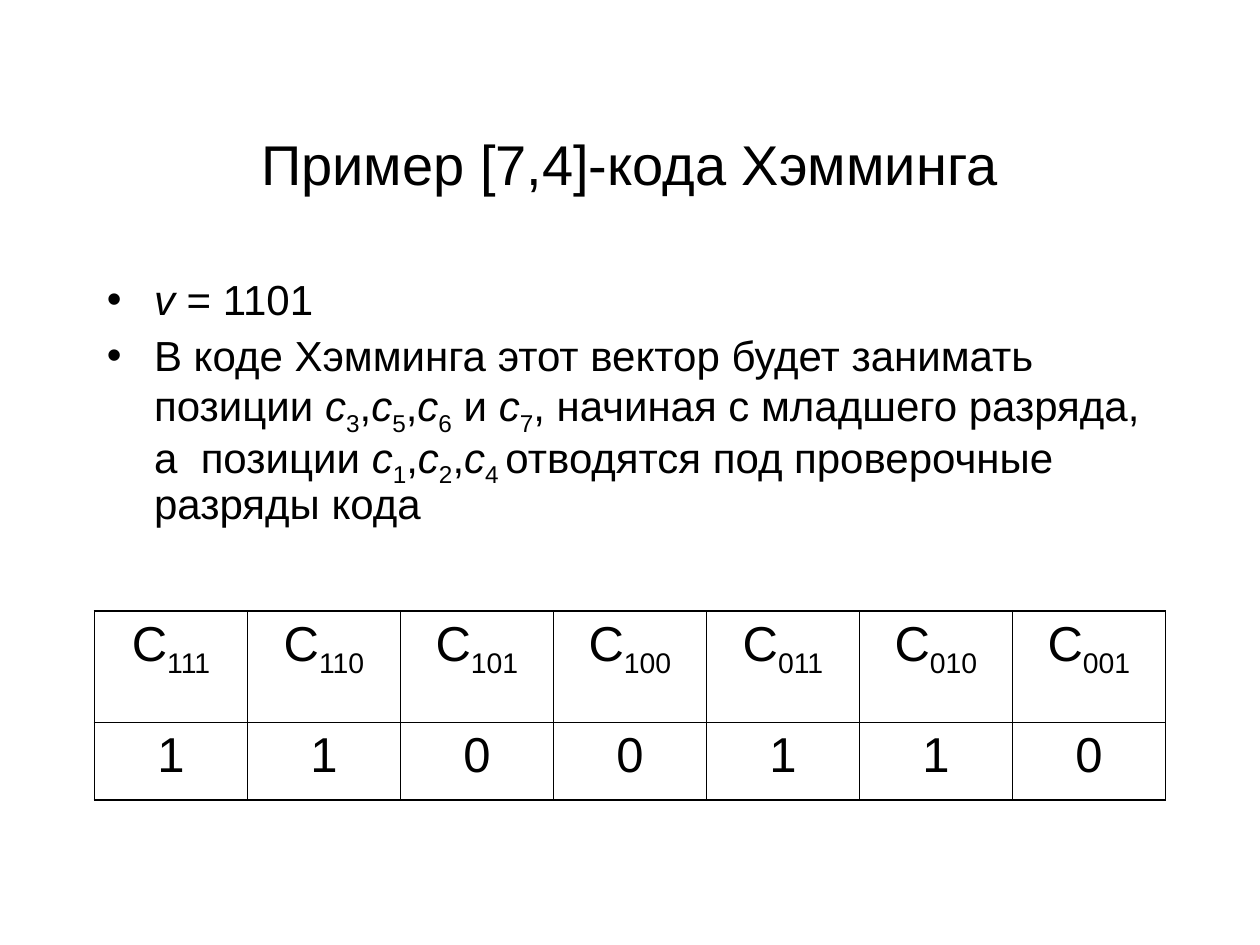
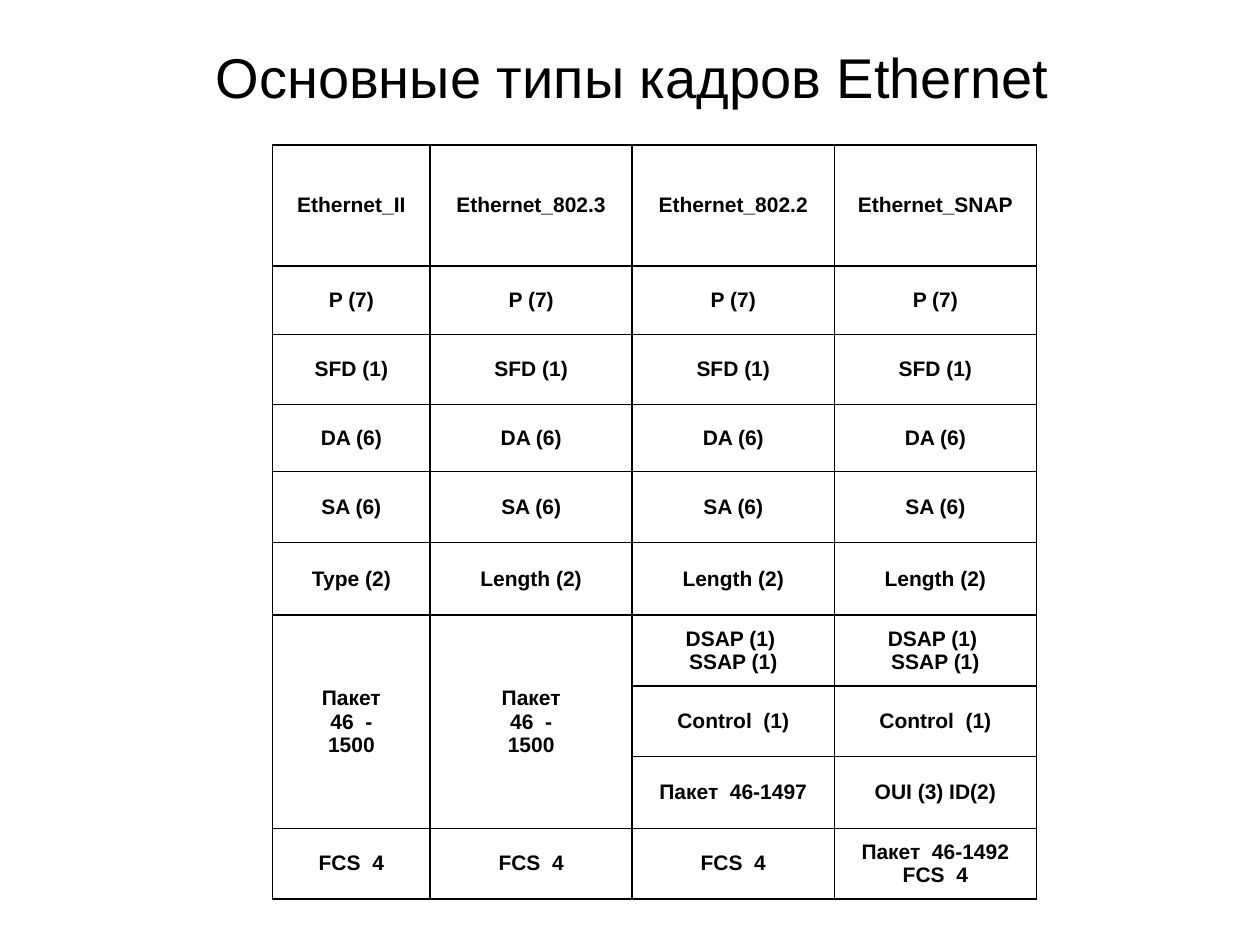
from lxml.etree import SubElement
from pptx import Presentation
from pptx.dml.color import RGBColor
from pptx.enum.text import MSO_ANCHOR, PP_ALIGN
from pptx.oxml.ns import qn
from pptx.util import Pt

FONT = "Arial"
BLACK = "000000"
TITLE_SIZE = 32
BODY_SIZE = 24
CODE_SIZE = 28
FRAME_SIZE = 12


def add_run(paragraph, text, size, bold=False, style=""):
    run = paragraph.add_run()
    run.text = text
    run.font.name = FONT
    run.font.size = Pt(size)
    run.font.bold = bold
    run.font.italic = style == "italic"
    run.font.color.rgb = RGBColor.from_string(BLACK)
    if style == "subscript":
        run.font._element.set("baseline", "-25000")


def add_grid(slide, left, top, widths, heights, outer, inner):
    table = slide.shapes.add_table(
        len(heights), len(widths), Pt(left), Pt(top), Pt(sum(widths)), Pt(sum(heights))
    ).table
    table.first_row = False
    table.horz_banding = False
    for column, width in zip(table.columns, widths):
        column.width = Pt(width)
    for row, height in zip(table.rows, heights):
        row.height = Pt(height)
    last_row, last_column = len(heights) - 1, len(widths) - 1
    for row_index in range(len(heights)):
        for column_index in range(len(widths)):
            cell = table.cell(row_index, column_index)
            properties = cell._tc.get_or_add_tcPr()
            sides = {
                "a:lnL": column_index == 0,
                "a:lnR": column_index == last_column,
                "a:lnT": row_index == 0,
                "a:lnB": row_index == last_row,
            }
            for side, is_edge in sides.items():
                line = SubElement(properties, qn(side), w=str(Pt(outer if is_edge else inner)))
                fill = SubElement(line, qn("a:solidFill"))
                SubElement(fill, qn("a:srgbClr"), val=BLACK)
            cell.fill.background()
    return table


presentation = Presentation()
presentation.slide_width = Pt(720)
presentation.slide_height = Pt(540)

titles = [
    ("Пример [7,4]-кода Хэмминга", 54, 48, 90),
    ("Основные типы кадров Ethernet ", 60, 15, 57),
]
slides = []
for title, left, top, height in titles:
    slide = presentation.slides.add_slide(presentation.slide_layouts[6])
    frame = slide.shapes.add_textbox(Pt(left), Pt(top), Pt(612), Pt(height)).text_frame
    frame.word_wrap = True
    frame.vertical_anchor = MSO_ANCHOR.MIDDLE
    frame.paragraphs[0].alignment = PP_ALIGN.CENTER
    add_run(frame.paragraphs[0], title, TITLE_SIZE)
    slides.append(slide)
hamming_slide, ethernet_slide = slides

bullets = [
    [("v", "italic"), (" = 1101", "")],
    [
        ("В коде Хэмминга этот вектор будет занимать позиции ", ""),
        ("c", "italic"), ("3", "subscript"), (",", ""),
        ("c", "italic"), ("5", "subscript"), (",", ""),
        ("c", "italic"), ("6", "subscript"), (" и ", ""),
        ("c", "italic"), ("7", "subscript"),
        (", начиная с младшего разряда, а  позиции ", ""),
        ("c", "italic"), ("1", "subscript"), (",", ""),
        ("c", "italic"), ("2", "subscript"), (",", ""),
        ("c", "italic"), ("4 ", "subscript"),
        ("отводятся под проверочные разряды кода", ""),
    ],
]
body = hamming_slide.shapes.add_textbox(Pt(54), Pt(156), Pt(612), Pt(156)).text_frame
body.word_wrap = True
for index, runs in enumerate(bullets):
    paragraph = body.add_paragraph() if index else body.paragraphs[0]
    paragraph.line_spacing = 0.9
    if index:
        paragraph.space_before = Pt(6)
    properties = paragraph._p.get_or_add_pPr()
    properties.set("marL", str(Pt(27)))
    properties.set("indent", str(Pt(-27)))
    SubElement(properties, qn("a:buFont"), typeface=FONT)
    SubElement(properties, qn("a:buChar"), char="•")
    for text, style in runs:
        add_run(paragraph, text, BODY_SIZE, style=style)

code_bits = "1100110"
code_table = add_grid(hamming_slide, 54, 349.2, [612 / 7] * 7, [63.5, 44.5], 1.08, 0.45)
for column_index, bit in enumerate(code_bits):
    position = format(len(code_bits) - column_index, "03b")
    column_runs = [[("C", ""), (position, "subscript")], [(bit, "")]]
    for row_index, runs in enumerate(column_runs):
        paragraph = code_table.cell(row_index, column_index).text_frame.paragraphs[0]
        paragraph.alignment = PP_ALIGN.CENTER
        for text, style in runs:
            add_run(paragraph, text, CODE_SIZE, style=style)

packet = "Пакет\n46  -\n1500"
service_points = "DSAP (1) \nSSAP (1)"
frame_rows = [
    ["Ethernet_II", "Ethernet_802.3", "Ethernet_802.2", "Ethernet_SNAP"],
    ["P (7)"] * 4,
    ["SFD (1)"] * 4,
    ["DA (6)"] * 4,
    ["SA (6)"] * 4,
    ["Type (2)"] + ["Length (2)"] * 3,
    [packet, packet, service_points, service_points],
    ["", "", "Control  (1)", "Control  (1)"],
    ["", "", "Пакет  46-1497", "OUI (3) ID(2)"],
    ["FCS  4"] * 3 + ["Пакет  46-1492\nFCS  4"],
]
frame_heights = [69, 39.2, 40, 38.3, 40.7, 41.4, 40.6, 40.2, 41.1, 40.4]
frame_table = add_grid(
    ethernet_slide, 155.8, 82.9, [90] + [115.5] * 3, frame_heights, 0.96, 0.96
)
for column_index in range(2):
    frame_table.cell(6, column_index).merge(frame_table.cell(8, column_index))
for row_index, row_texts in enumerate(frame_rows):
    for column_index, cell_text in enumerate(row_texts):
        if not cell_text:
            continue
        cell = frame_table.cell(row_index, column_index)
        cell.vertical_anchor = MSO_ANCHOR.MIDDLE
        for index, text in enumerate(cell_text.split("\n")):
            frame = cell.text_frame
            paragraph = frame.add_paragraph() if index else frame.paragraphs[0]
            paragraph.alignment = PP_ALIGN.CENTER
            add_run(paragraph, text, FRAME_SIZE, bold=True)

presentation.save("out.pptx")
